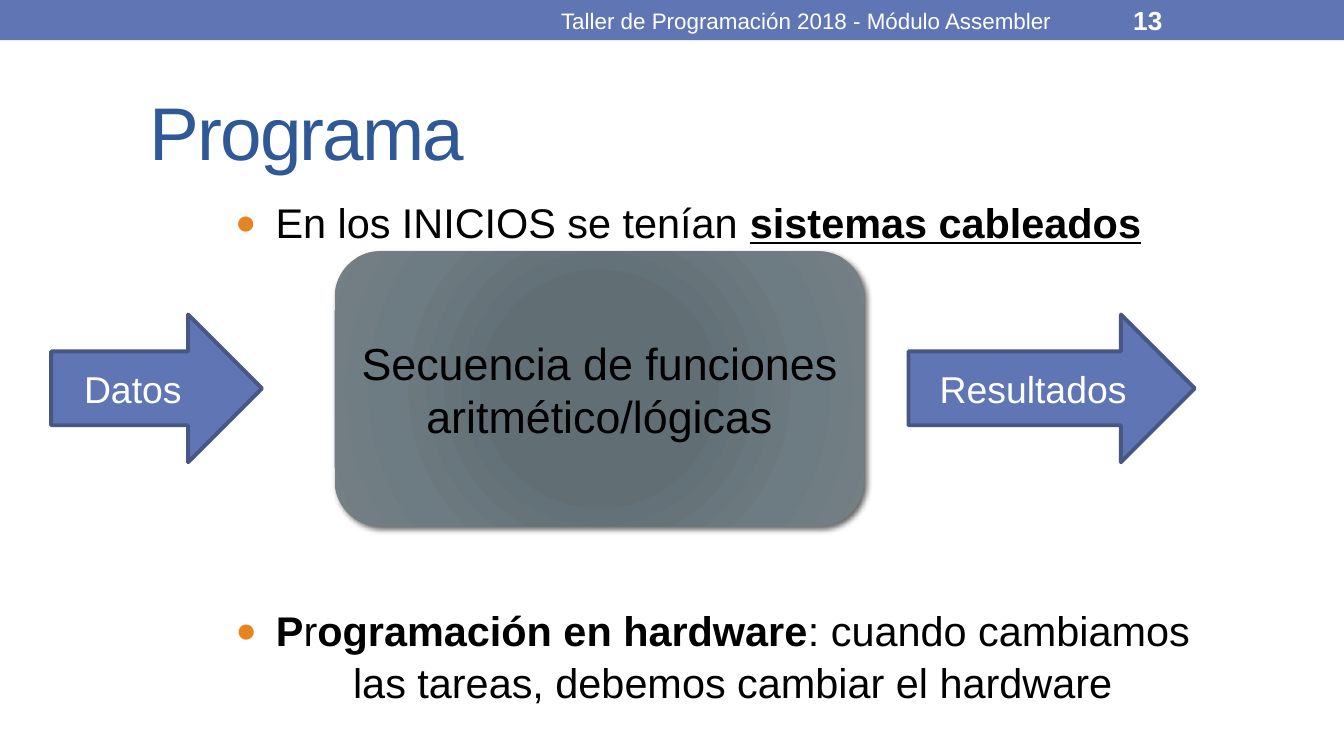
from pptx import Presentation
from pptx.dml.color import RGBColor
from pptx.enum.shapes import MSO_SHAPE as Shape
from pptx.enum.text import MSO_ANCHOR as Anchor, MSO_AUTO_SIZE as AutoSize, PP_ALIGN as Align
from pptx.oxml import parse_xml
from pptx.oxml.ns import nsdecls, qn
from pptx.util import Pt

COLORS = {
    "blue": "6076B4", "outline": "475785", "title": "2F5897", "bullet": "E68422",
    "black": "000000", "white": "FFFFFF",
    "dark": "616F75", "middle": "6D7B82", "light": "758085",
}


def format_text(shape, size, color, align=Align.LEFT, bold=None):
    frame = shape.text_frame
    frame.word_wrap = True
    frame.auto_size = AutoSize.NONE
    frame.vertical_anchor = Anchor.MIDDLE
    for paragraph in frame.paragraphs:
        paragraph.alignment = align
        for run in paragraph.runs:
            run.font.name = "Arial"
            run.font.size = Pt(size)
            run.font.color.rgb = RGBColor.from_string(COLORS[color])
            if bold is not None:
                run.font.bold = bold


def place(shape, left, top, width, height):
    shape.left, shape.top = Pt(left), Pt(top)
    shape.width, shape.height = Pt(width), Pt(height)


presentation = Presentation()
presentation.slide_width, presentation.slide_height = Pt(720), Pt(405)
slide = presentation.slides.add_slide(presentation.slide_layouts[1])
shapes = slide.shapes

# Header band
band = shapes.add_shape(Shape.RECTANGLE, 0, 0, Pt(720), Pt(21.6))
band.shadow.inherit = False
band.fill.solid()
band.fill.fore_color.rgb = RGBColor.from_string(COLORS["blue"])
band.line.fill.background()

for text, left, width, size, align, bold in [
    ("Taller de Programación 2018 - Módulo Assembler", 270, 324, 12, Align.CENTER, False),
    ("13", 600, 84, 14, Align.LEFT, True),
]:
    header = shapes.add_textbox(Pt(left), Pt(0.9), Pt(width), Pt(19.8))
    header.text_frame.text = text
    format_text(header, size, "white", align, bold)

# Title
title = shapes.title
place(title, 73, 41, 648, 58.5)
title.text_frame.text = "Programa"
format_text(title, 40, "title")
title.text_frame.paragraphs[0].runs[0]._r.get_or_add_rPr().set("spc", "-100")

# Bullets above and below the diagram
body = slide.placeholders[1]
place(body, 118.8, 100.8, 526.3, 297.4)
bullets = [
    (Align.LEFT, 0, [("En los INICIOS se tenían ", False, False),
                     ("sistemas cableados", True, True)]),
    (Align.CENTER, 190.5, [("P", True, False), ("r", False, False),
                           ("ogramación en hardware", True, False),
                           (": cuando cambiamos las tareas, debemos cambiar el hardware",
                            False, False)]),
]
frame = body.text_frame
frame.text = "\n".join("" for _ in bullets)
for paragraph, (align, space_before, runs) in zip(frame.paragraphs, bullets):
    for text, bold, underline in runs:
        run = paragraph.add_run()
        run.text = text
        run.font.bold = bold
        run.font.underline = underline
format_text(body, 22.2, "black")
frame.vertical_anchor = Anchor.TOP
for paragraph, (align, space_before, runs) in zip(frame.paragraphs, bullets):
    paragraph.alignment = align
    paragraph.space_before = Pt(space_before)
    paragraph.line_spacing = 1.05
    properties = paragraph._p.get_or_add_pPr()
    properties.set("marL", str(Pt(21.6)))
    properties.set("indent", str(-Pt(21.6)))
    for xml in (
        f'<a:buClr {nsdecls("a")}><a:srgbClr val="{COLORS["bullet"]}"/></a:buClr>',
        f'<a:buSzPct {nsdecls("a")} val="85000"/>',
        f'<a:buFont {nsdecls("a")} typeface="Arial"/>',
        f'<a:buChar {nsdecls("a")} char="●"/>',
    ):
        properties.append(parse_xml(xml))

# Processing box with radial gradient and shadow
box = shapes.add_shape(Shape.ROUNDED_RECTANGLE, Pt(179.3), Pt(134.6), Pt(283.7), Pt(147.6))
box.text_frame.text = "Secuencia de funciones aritmético/lógicas"
format_text(box, 24, "black", Align.CENTER)
box.line.fill.background()
box.fill.gradient()
box.shadow.inherit = False
stops = "".join(
    f'<a:gs pos="{position * 1000}"><a:srgbClr val="{COLORS[color]}"/></a:gs>'
    for position, color in [(0, "dark"), (34, "dark"), (70, "middle"), (100, "light")]
)
box_properties = box._element.spPr
box_properties.replace(box_properties.find(qn("a:gradFill")), parse_xml(
    f'<a:gradFill {nsdecls("a")} rotWithShape="1"><a:gsLst>{stops}</a:gsLst>'
    '<a:path path="circle"><a:fillToRect l="50000" t="50000" r="50000" b="50000"/></a:path>'
    '</a:gradFill>'))
box_properties.find(qn("a:effectLst")).append(parse_xml(
    f'<a:outerShdw {nsdecls("a")} blurRad="{Pt(3)}" dist="{Pt(2)}" dir="2700000" '
    f'algn="tl" rotWithShape="0"><a:srgbClr val="{COLORS["black"]}">'
    '<a:alpha val="60000"/></a:srgbClr></a:outerShdw>'))

# Input and output arrows
for text, left, width in [("Datos ", 27.4, 113), ("Resultados", 486.7, 153.4)]:
    arrow = shapes.add_shape(Shape.RIGHT_ARROW, Pt(left), Pt(168.5), Pt(width), Pt(79.2))
    arrow.shadow.inherit = False
    arrow.fill.solid()
    arrow.fill.fore_color.rgb = RGBColor.from_string(COLORS["blue"])
    arrow.line.color.rgb = RGBColor.from_string(COLORS["outline"])
    arrow.line.width = Pt(2.08)
    arrow.text_frame.text = text
    format_text(arrow, 20, "white", Align.CENTER)

presentation.save("out.pptx")
